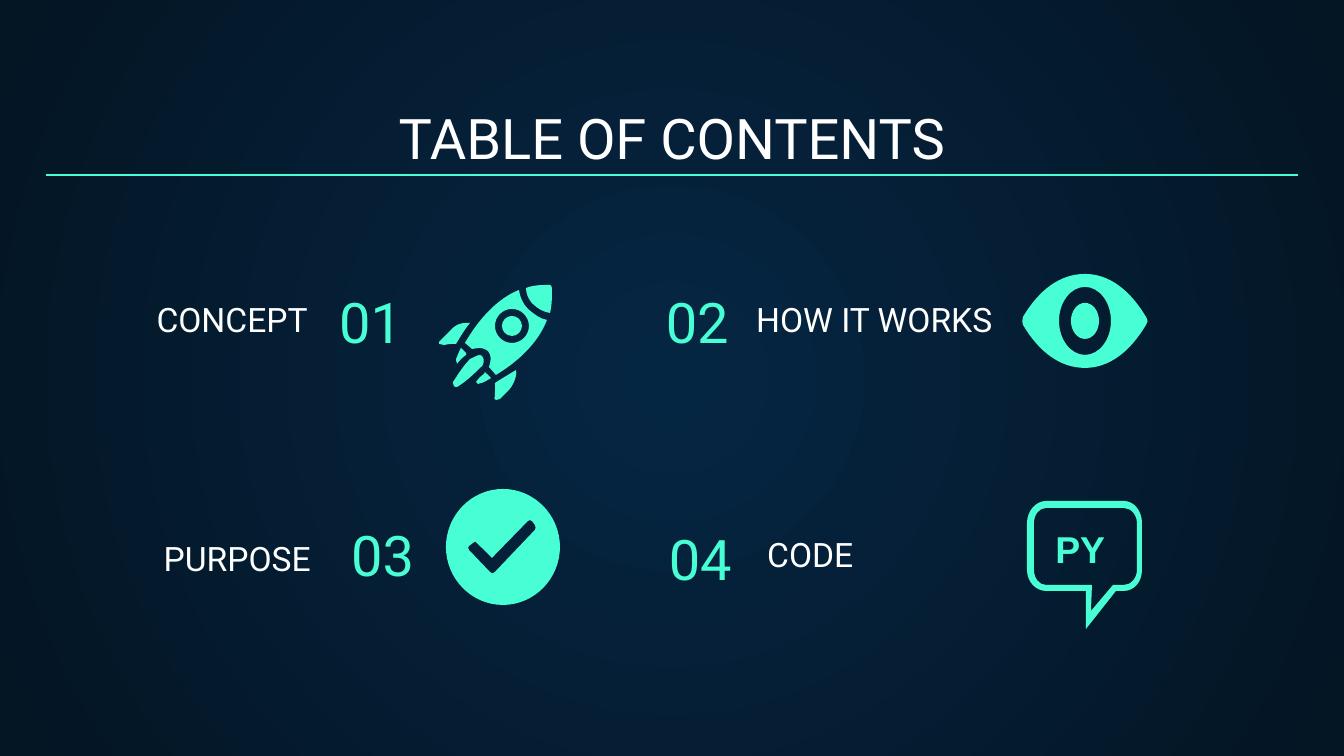
"""Build a dark table-of-contents slide with four numbered topics and icons."""
from lxml.etree import SubElement
from pptx import Presentation
from pptx.dml.color import RGBColor
from pptx.enum.shapes import MSO_CONNECTOR
from pptx.enum.text import MSO_ANCHOR, PP_ALIGN
from pptx.oxml.ns import qn
from pptx.util import Emu, Pt

PX = 914400 / 134.4
MINT, WHITE = "48FFD5", "FFFFFF"
LEFT, CENTER, RIGHT = PP_ALIGN.LEFT, PP_ALIGN.CENTER, PP_ALIGN.RIGHT
TOP, BOTTOM = MSO_ANCHOR.TOP, MSO_ANCHOR.BOTTOM
TITLE = {"size": Pt(30), "name": "Roboto", "color": WHITE}
NUMBER = {**TITLE, "color": MINT}
TOPIC = {**TITLE, "size": Pt(18)}
BADGE = {"size": Pt(20), "name": "Arial", "color": MINT, "bold": True}

TEXTS = [
    ("TABLE OF CONTENTS", (46, 95, 1252, 89), TITLE, CENTER, BOTTOM),
    ("02", (569, 279, 173, 89), NUMBER, RIGHT, BOTTOM),
    ("01", (326, 279, 173, 89), NUMBER, LEFT, BOTTOM),
    ("03", (338, 512, 173, 89), NUMBER, LEFT, BOTTOM),
    ("CONCEPT", (16, 290, 305, 63), TOPIC, RIGHT, BOTTOM),
    ("PURPOSE", (19, 503, 305, 89), TOPIC, RIGHT, BOTTOM),
    ("HOW IT WORKS", (743, 290, 305, 63), TOPIC, LEFT, BOTTOM),
    ("PY", (1042, 513, 79, 73), BADGE, LEFT, TOP),
    ("04", (304, 511, 441, 95), NUMBER, RIGHT, TOP),
    ("CODE", (754, 525, 305, 63), TOPIC, LEFT, BOTTOM),
]


def px(n):
    """Turn pixels into EMU."""
    return Emu(round(n * PX))


def rgb(value):
    """Turn a hex string into a colour."""
    return RGBColor.from_string(value)


def ellipse(cx, cy, rx, ry):
    """Return an ellipse as a start point and four Bézier curves."""
    kx, ky = 0.55 * rx, 0.55 * ry
    l, t, r, b = cx - rx, cy - ry, cx + rx, cy + ry
    return [(cx, t), (cx + kx, t, r, cy - ky, r, cy), (r, cy + ky, cx + kx, b, cx, b),
            (cx - kx, b, l, cy + ky, l, cy), (l, cy - ky, cx - kx, t, cx, t)]


ROCKET = {
    "left strut": [[
        (461, 348), (458, 353, 457, 358, 456, 359), (456, 360, 456, 362, 457, 363),
        (457, 364), (460, 360, 462, 358, 466, 355), (466, 353)]],
    "right strut": [[
        (485, 372), (484, 374), (481, 376, 478, 379, 476, 382), (478, 384),
        (481, 383), (482, 383, 485, 382, 491, 378)]],
    "flame": [[
        (480, 355), (477, 355, 473, 358, 470, 359), (460, 370, 456, 378, 453, 382),
        (453, 383, 453, 384, 454, 386), (454, 387, 456, 387, 457, 387),
        (462, 384, 469, 379, 480, 368), (484, 366, 485, 359, 482, 356)]],
    "left fin": [[
        (466, 323), (462, 323, 456, 324, 450, 331), (441, 340),
        (439, 340, 439, 343, 439, 344), (441, 345, 442, 345, 444, 345),
        (448, 344, 450, 344, 456, 344), (461, 336, 465, 329, 470, 323)]],
    "right fin": [[
        (516, 370), (508, 375, 501, 379, 495, 383), (496, 386, 495, 388, 495, 396),
        (493, 398, 495, 399, 496, 400), (497, 400, 499, 399, 500, 399),
        (509, 390), (516, 382, 517, 372, 516, 370)]],
    "window": [ellipse(512, 326, 10, 10)],
    "nose": [[
        (544, 285), (538, 285, 531, 286, 526, 288), (526, 293, 528, 300, 534, 305),
        (538, 309, 544, 312, 550, 313), (552, 305, 552, 297, 552, 289),
        (552, 286, 551, 285, 550, 285)]],
    "body": [ellipse(512, 326, 17, 17), [
        (519, 290), (499, 298, 480, 317, 465, 343), (472, 349),
        (474, 349, 477, 348, 480, 348), (482, 348, 485, 349, 488, 351),
        (492, 355, 491, 362, 489, 367), (496, 375), (516, 363, 538, 344, 547, 320),
        (540, 319, 534, 314, 528, 309), (523, 304, 520, 297, 519, 290)]],
}
ICONS = {
    "check": [[
        (528, 521), (529, 520, 531, 520, 532, 521), (535, 525),
        (536, 527, 536, 529, 535, 530), (495, 572), (493, 574, 492, 574, 490, 572),
        (469, 550), (468, 548, 468, 547, 469, 546), (473, 543),
        (475, 541, 476, 541, 477, 543), (492, 558)], ellipse(503, 547, 57, 58)],
    "eye": [ellipse(1085, 321, 14, 18), ellipse(1085, 321, 26, 34), [
        (1023, 317), (1039, 290, 1060, 274, 1085, 274), (1109, 274, 1130, 290, 1146, 317),
        (1148, 320, 1148, 323, 1146, 325), (1130, 352, 1109, 368, 1085, 368),
        (1060, 368, 1039, 352, 1023, 325), (1022, 323, 1022, 320, 1023, 317)]],
    "speech bubble": [[
        (1046, 508), (1039, 508, 1034, 515, 1034, 523), (1034, 570),
        (1034, 578, 1039, 585, 1046, 585), (1092, 585), (1091, 611), (1113, 585),
        (1124, 585), (1131, 585, 1137, 578, 1137, 570), (1137, 523),
        (1137, 515, 1131, 508, 1124, 508)], [
        (1046, 501), (1036, 501, 1027, 511, 1027, 523), (1027, 570),
        (1027, 582, 1036, 591, 1046, 591), (1086, 591), (1086, 629), (1116, 591),
        (1124, 591), (1134, 591, 1142, 582, 1142, 570), (1142, 523),
        (1142, 511, 1134, 501, 1124, 501)]],
}


def set_background(s):
    """Fill the slide with a round gradient from its centre."""
    fill = s.background.fill
    fill.gradient()
    for stop, position, color in zip(fill.gradient_stops, (0, 1), ("052643", "041523")):
        stop.position = position
        stop.color.rgb = rgb(color)
    grad = s._element.find(".//" + qn("a:gradFill"))
    grad.remove(grad.find(qn("a:lin")))
    circle = SubElement(grad, qn("a:path"), path="circle")
    SubElement(circle, qn("a:fillToRect"), {side: "50000" for side in "ltrb"})


def add_text(s, text, box, style, align, anchor):
    """Add one line of styled text."""
    tf = s.shapes.add_textbox(*map(px, box)).text_frame
    tf.word_wrap, tf.vertical_anchor = True, anchor
    for side in ("left", "top", "right", "bottom"):
        setattr(tf, "margin_" + side, Pt(7.2))
    p = tf.paragraphs[0]
    p.alignment = align
    r = p.add_run()
    r.text = text
    for key, value in style.items():
        if key == "color":
            r.font.color.rgb = rgb(value)
        else:
            setattr(r.font, key, value)


def bend(sp, contours):
    """Merge each three line steps that stand for a curve into one Bézier step."""
    path = next(sp._element.iter(qn("a:path")))
    steps = iter([step for step in path if step.tag != qn("a:close")])
    for part in (part for contour in contours for part in contour):
        step = next(steps)
        if len(part) == 6:
            curve = SubElement(path, qn("a:cubicBezTo"))
            step.addprevious(curve)
            for old in (step, next(steps), next(steps)):
                curve.append(old[0])
                path.remove(old)


def add_icon(shapes, contours):
    """Add a filled outline of points and curves; nested contours are holes."""
    builder = None
    for contour in contours:
        points = [(px(part[i]), px(part[i + 1]))
                  for part in contour for i in range(0, len(part), 2)]
        if builder is None:
            builder = shapes.build_freeform(*points[0])
        else:
            builder.move_to(*points[0])
        builder.add_line_segments(points[1:], close=True)
    sp = builder.convert_to_shape()
    bend(sp, contours)
    sp.shadow.inherit = False
    sp.fill.solid()
    sp.fill.fore_color.rgb = rgb(MINT)
    sp.line.fill.background()


def add_rule(s, x1, x2, y):
    """Add a thin horizontal line."""
    line = s.shapes.add_connector(MSO_CONNECTOR.STRAIGHT, px(x1), px(y), px(x2), px(y))
    line.line.color.rgb = rgb(MINT)
    line.line.width = Pt(0.75)
    SubElement(line._element.spPr, qn("a:effectLst"))


def main():
    """Build and save the slide."""
    prs = Presentation()
    prs.slide_width, prs.slide_height = px(1344), px(756)
    s = prs.slides.add_slide(prs.slide_layouts[6])
    set_background(s)
    rocket = s.shapes.add_group_shape()
    for contours in ROCKET.values():
        add_icon(rocket.shapes, contours)
    for contours in ICONS.values():
        add_icon(s.shapes, contours)
    add_rule(s, 46, 1298, 175)
    for item in TEXTS:
        add_text(s, *item)
    prs.save("out.pptx")


if __name__ == "__main__":
    main()
